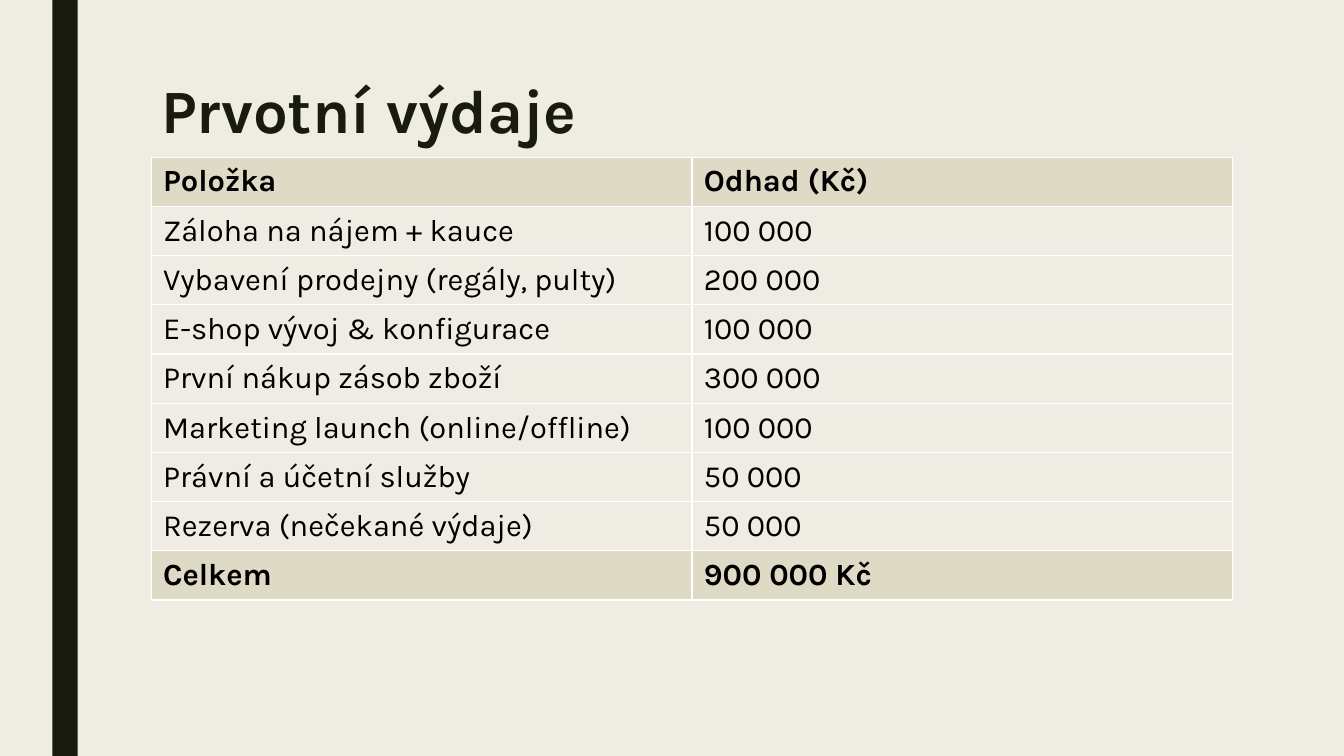
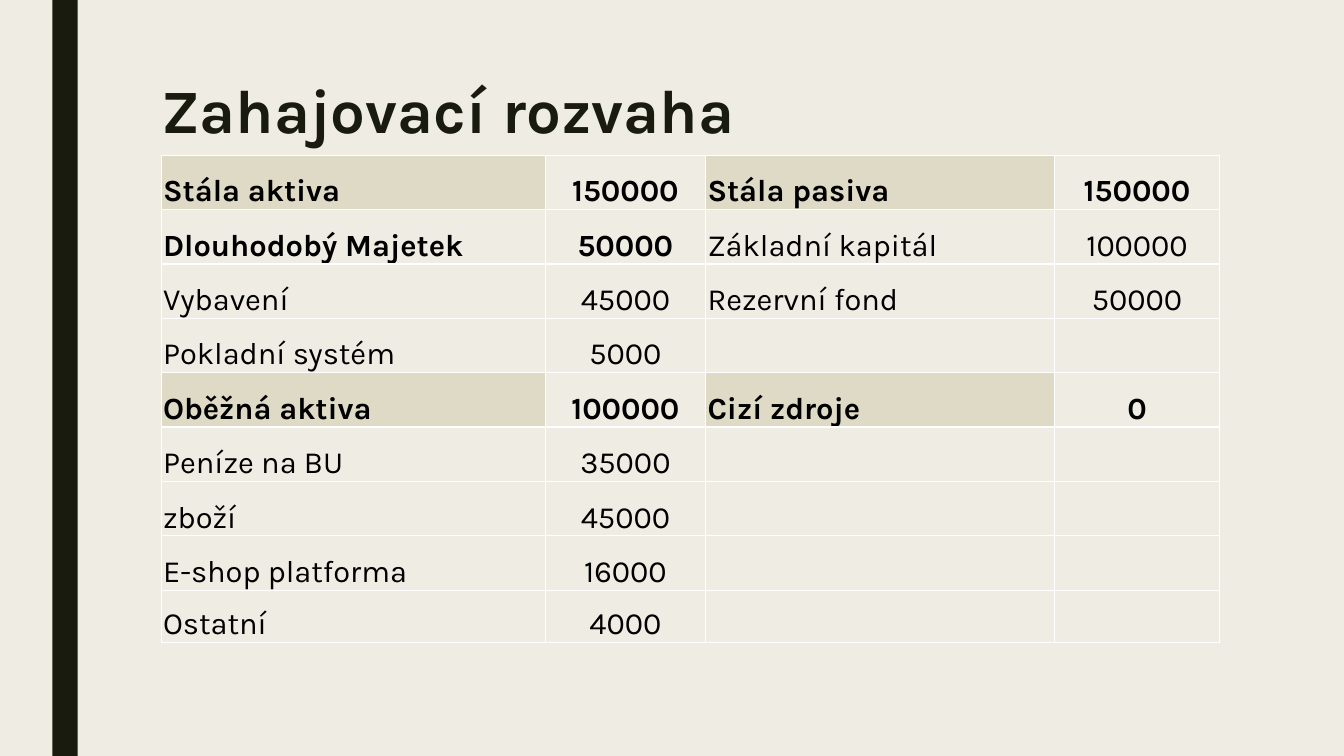
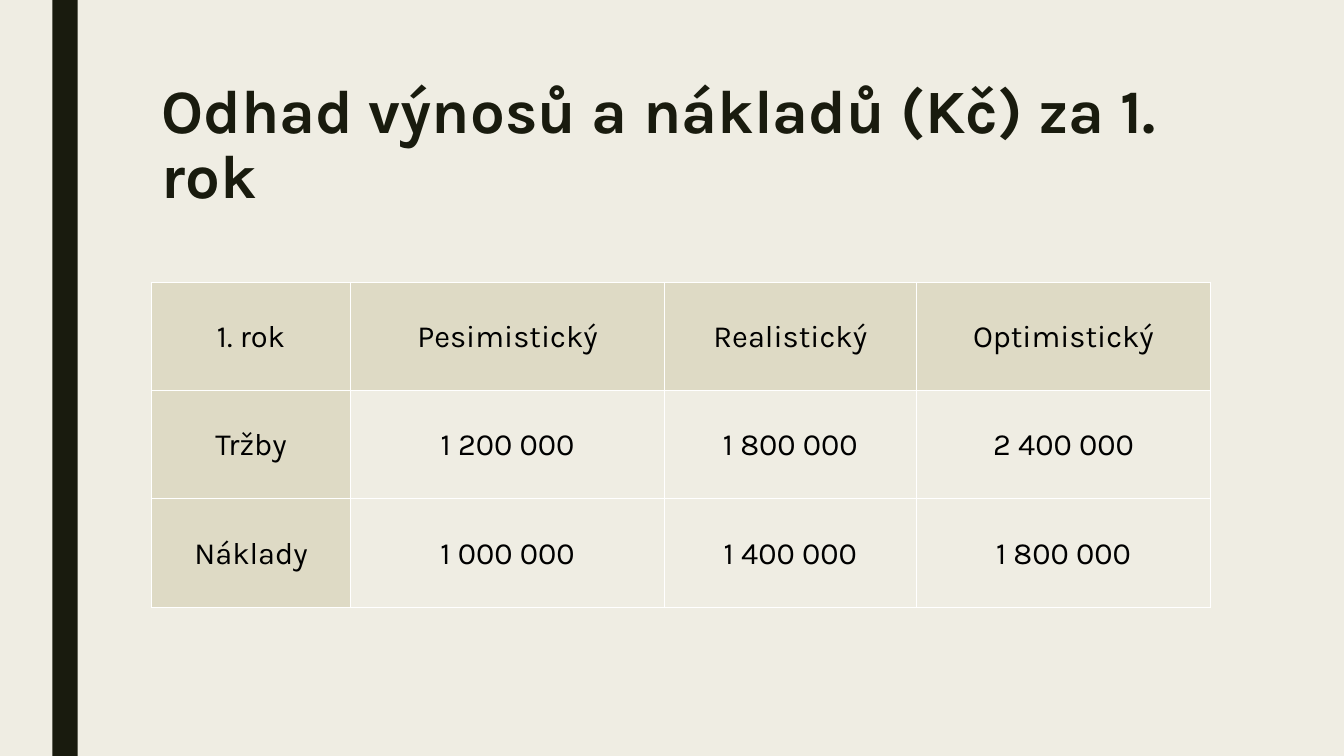
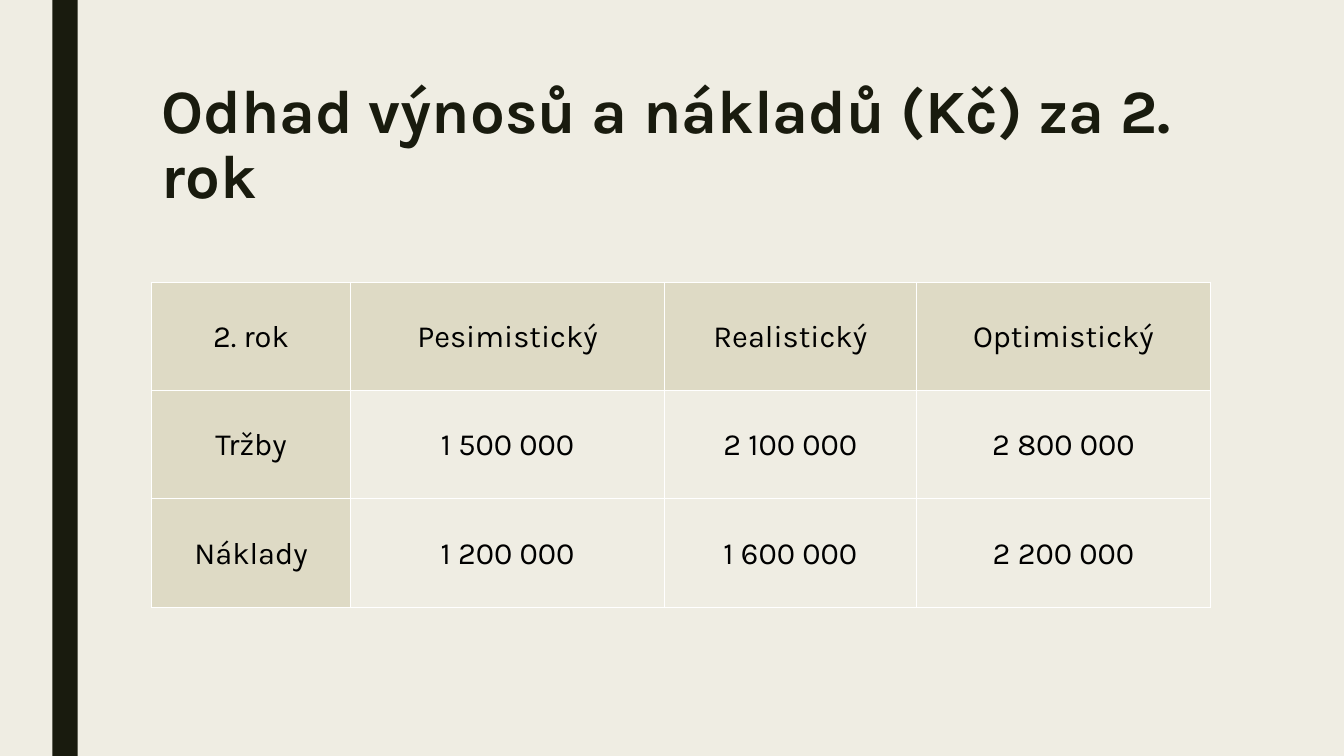
from dataclasses import dataclass

from lxml import etree
from pptx import Presentation
from pptx.dml.color import RGBColor
from pptx.enum.shapes import MSO_SHAPE
from pptx.enum.text import MSO_ANCHOR, MSO_AUTO_SIZE, PP_ALIGN
from pptx.oxml.ns import qn
from pptx.util import Cm, Pt

RECT = MSO_SHAPE.RECTANGLE
TOP, MIDDLE, BOTTOM = MSO_ANCHOR.TOP, MSO_ANCHOR.MIDDLE, MSO_ANCHOR.BOTTOM
LEFT, CENTER = PP_ALIGN.LEFT, PP_ALIGN.CENTER
FIXED = MSO_AUTO_SIZE.NONE
TITLE_ONLY = 5


@dataclass(frozen=True)
class Theme:
    paper: str = "EFEDE3"
    sand: str = "DEDAC5"
    dark: str = "191B0E"
    ink: str = "000000"
    rule: str = "FFFFFF"
    font: str = "Karla"
    head: int = 44
    body: int = 22


# Cell insets in cm: left, top, right, bottom
WIDE = (0.3, 0.15, 0.3, 0.15)
TIGHT = (0.05, 0.05, 0.05, 0)


class Deck:
    def __init__(self, theme):
        self.theme = theme
        self.prs = Presentation()
        self.prs.slide_width, self.prs.slide_height = Cm(33.87), Cm(19.05)
        self.slide = None
        fill = self.prs.slide_master.background.fill
        self.paint(fill, theme.paper)

    def paint(self, fill, color):
        fill.solid()
        fill.fore_color.rgb = RGBColor.from_string(color)

    def style(self, para, size, color, bold):
        for run in para.runs:
            font = run.font
            font.name, font.size, font.bold = self.theme.font, Pt(size), bold
            font.color.rgb = RGBColor.from_string(color)

    def page(self, title):
        """Start a slide with its band and title."""
        layout = self.prs.slide_layouts[TITLE_ONLY]
        self.slide = self.prs.slides.add_slide(layout)
        self.band()
        self.title(title)

    def band(self):
        band = self.slide.shapes.add_shape(
            RECT, Cm(1.32), 0, Cm(0.64), self.prs.slide_height)
        band.shadow.inherit = False
        self.paint(band.fill, self.theme.dark)
        band.line.fill.background()

    def title(self, text):
        box = self.slide.shapes.title
        box.left, box.top = Cm(3.81), Cm(1.9)
        box.width, box.height = Cm(26.67), Cm(4.11)
        frame = box.text_frame
        frame.text = text
        frame.word_wrap, frame.auto_size = True, FIXED
        frame.vertical_anchor = TOP
        para = frame.paragraphs[0]
        para.alignment, para.line_spacing = LEFT, 0.89
        self.style(para, self.theme.head, self.theme.dark, True)

    def table(self, rows, left, top, cols, highs, inset, anchor,
              sand, bold, mid):
        """Draw rows; sand, bold and mid are rules on (row, column)."""
        frame = self.slide.shapes.add_table(
            len(rows), len(cols), Cm(left), Cm(top),
            Cm(sum(cols)), Cm(sum(highs)))
        table = frame.table
        table.first_row = table.horz_banding = False
        for col, width in zip(table.columns, cols):
            col.width = Cm(width)
        for row, high in zip(table.rows, highs):
            row.height = Cm(high)
        for r, row in enumerate(rows):
            for c, text in enumerate(row):
                cell = table.cell(r, c)
                (cell.margin_left, cell.margin_top, cell.margin_right,
                 cell.margin_bottom) = map(Cm, inset)
                cell.vertical_anchor = anchor
                cell.text_frame.text = text
                para = cell.text_frame.paragraphs[0]
                para.alignment = CENTER if mid(r, c) else LEFT
                self.style(para, self.theme.body, self.theme.ink, bold(r, c))
                self.edge(cell)
                tint = self.theme.sand if sand(r, c) else self.theme.paper
                self.paint(cell.fill, tint)

    def edge(self, cell):
        """Rule all four sides; must come before the fill."""
        props = cell._tc.get_or_add_tcPr()
        for side in ("a:lnL", "a:lnR", "a:lnT", "a:lnB"):
            line = etree.SubElement(props, qn(side), w=str(Pt(1)))
            fill = etree.SubElement(line, qn("a:solidFill"))
            etree.SubElement(fill, qn("a:srgbClr"), val=self.theme.rule)


# Content
COSTS = [
    ("Položka", "Odhad (Kč)"),
    ("Záloha na nájem + kauce", "100 000"),
    ("Vybavení prodejny (regály, pulty)", "200 000"),
    ("E-shop vývoj & konfigurace", "100 000"),
    ("První nákup zásob zboží", "300 000"),
    ("Marketing launch (online/offline)", "100 000"),
    ("Právní a účetní služby", "50 000"),
    ("Rezerva (nečekané výdaje)", "50 000"),
    ("Celkem", "900 000 Kč"),
]
SHEET = [
    ("Stála aktiva", "150000", "Stála pasiva", "150000"),
    ("Dlouhodobý Majetek", "50000", "Základní kapitál", "100000"),
    ("Vybavení", "45000", "Rezervní fond", "50000"),
    ("Pokladní systém", "5000", "", ""),
    ("Oběžná aktiva", "100000", "Cizí zdroje", "0"),
    ("Peníze na BU", "35000", "", ""),
    ("zboží", "45000", "", ""),
    ("E-shop platforma", "16000", "", ""),
    ("Ostatní", "4000", "", ""),
]
CASES = ("Pesimistický", "Realistický", "Optimistický")
YEARS = {
    "1. rok": (("1 200 000", "1 800 000", "2 400 000"),
               ("1 000 000", "1 400 000", "1 800 000")),
    "2. rok": (("1 500 000", "2 100 000", "2 800 000"),
               ("1 200 000", "1 600 000", "2 200 000")),
}


def main():
    deck = Deck(Theme())

    # Initial costs
    def ends(r, c):
        return r in (0, len(COSTS) - 1)

    deck.page("Prvotní výdaje")
    deck.table(COSTS, 3.81, 3.96, [13.63] * 2, [1.24] * len(COSTS),
               WIDE, MIDDLE, sand=ends, bold=ends, mid=lambda r, c: False)

    # Opening balance
    deck.page("Zahajovací rozvaha")
    deck.table(SHEET, 4.06, 3.91, [9.68, 4.04, 8.79, 4.17],
               [1.37] * 8 + [1.31], TIGHT, BOTTOM,
               sand=lambda r, c: r in (0, 4) and c % 2 == 0,
               bold=lambda r, c: r in (0, 4) or (r == 1 and c < 2),
               mid=lambda r, c: c % 2 == 1)

    # Yearly estimates
    for year, (sales, costs) in YEARS.items():
        deck.page(f"Odhad výnosů a nákladů (Kč) za {year}")
        rows = [(year, *CASES), ("Tržby", *sales), ("Náklady", *costs)]
        deck.table(rows, 3.81, 7.11, [5.03, 7.9, 6.35, 7.42], [2.73] * 3,
                   TIGHT, MIDDLE, sand=lambda r, c: r == 0 or c == 0,
                   bold=lambda r, c: False, mid=lambda r, c: True)

    deck.prs.save("out.pptx")


if __name__ == "__main__":
    main()
